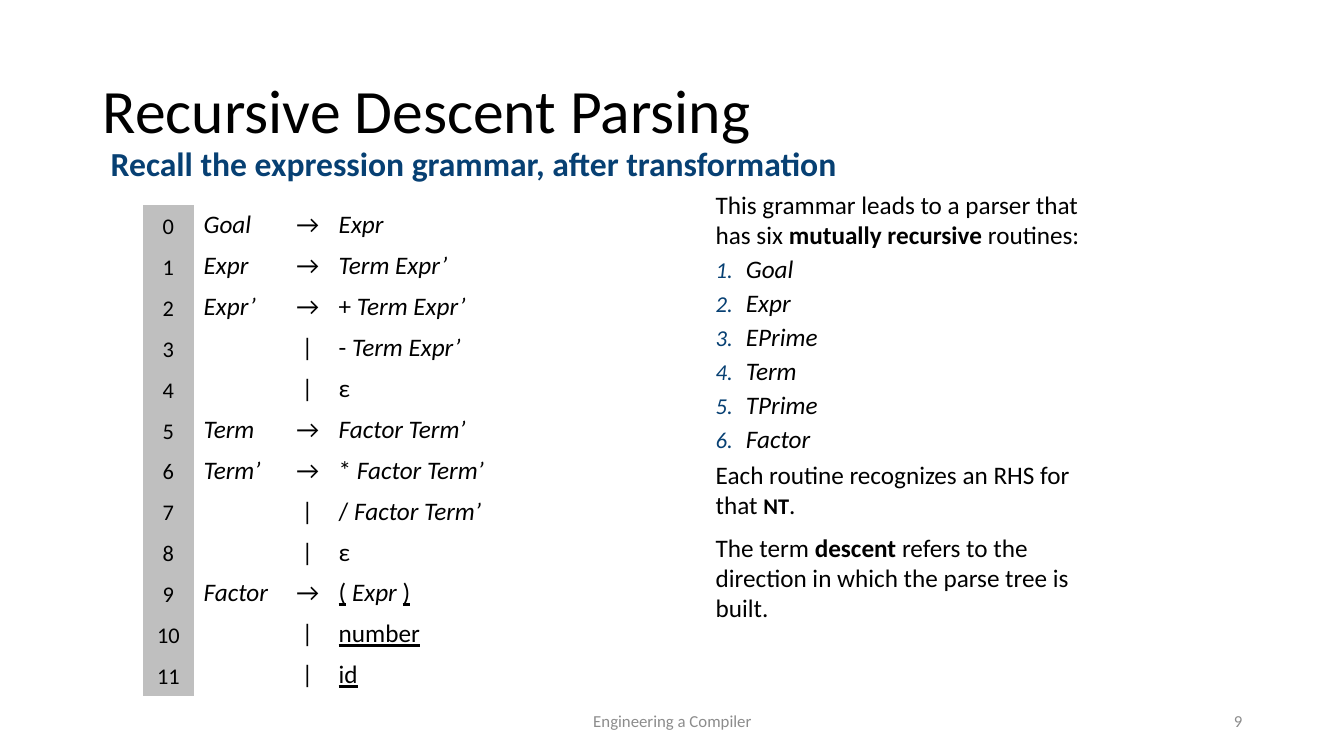
"""Builds the slide on recursive descent parsing."""
from dataclasses import dataclass

from lxml import etree
from pptx import Presentation, util as u
from pptx.dml.color import RGBColor
from pptx.enum import text
from pptx.oxml.ns import qn


@dataclass(frozen=True)
class Theme:
    font: str = "Calibri"
    ink: str = "000000"
    accent: str = "074073"
    number_fill: str = "BFBFBF"
    muted: str = "8C8C8C"
    title: int = 44
    subtitle: int = 24
    body: int = 18
    number: int = 16
    footer: int = 12
    line: int = 22


LEFT, CENTER, RIGHT = text.PP_ALIGN.LEFT, text.PP_ALIGN.CENTER, text.PP_ALIGN.RIGHT
BOTTOM, MIDDLE, TOP = text.MSO_ANCHOR.BOTTOM, text.MSO_ANCHOR.MIDDLE, text.MSO_ANCHOR.TOP
NO_TABLE_STYLE = "{2D5ABB26-0587-4C30-8999-92F81FD0307C}"
ITALIC, BOLD, UNDERLINE = {"italic": True}, {"bold": True}, {"underline": True}


def apply(target, values):
    for name, value in values.items():
        setattr(target, name, value)


class SlideBuilder:
    def __init__(self, slide, theme):
        self.slide = slide
        self.theme = theme

    def place(self, shape, box):
        names = ("left", "top", "width", "height")
        apply(shape, dict(zip(names, map(u.Inches, box))))

    def fill_paragraph(self, paragraph, runs, size, color=None, **layout):
        apply(paragraph, {"alignment": LEFT, **layout})
        for content, style in runs:
            run = paragraph.add_run()
            run.text = content
            apply(run.font, {"name": self.theme.font, "size": u.Pt(size), **style})
            run.font.color.rgb = RGBColor.from_string(color or self.theme.ink)

    def title(self, content, box):
        shape = self.slide.shapes.title
        self.place(shape, box)
        apply(shape.text_frame, {"vertical_anchor": MIDDLE, "word_wrap": True})
        self.fill_paragraph(shape.text_frame.paragraphs[0], [(content, {})],
                            self.theme.title, line_spacing=0.9)

    def frame(self, box, anchor=TOP):
        frame = self.slide.shapes.add_textbox(*map(u.Inches, box)).text_frame
        apply(frame, {"word_wrap": True, "vertical_anchor": anchor})
        return frame

    def label(self, content, box, size, color, anchor=MIDDLE, style=None, **layout):
        paragraph = self.frame(box, anchor).paragraphs[0]
        self.fill_paragraph(paragraph, [(content, style or {})], size, color, **layout)

    def number_bullet(self, paragraph):
        indent = u.Inches(0.3)
        properties = paragraph._p.get_or_add_pPr()
        properties.set("marL", str(indent))
        properties.set("indent", str(-indent))
        color = etree.SubElement(properties, qn("a:buClr"))
        etree.SubElement(color, qn("a:srgbClr"), val=self.theme.accent)
        etree.SubElement(properties, qn("a:buSzPct"), val="90000")
        etree.SubElement(properties, qn("a:buFont"), typeface=self.theme.font)
        etree.SubElement(properties, qn("a:buAutoNum"), type="arabicPeriod")

    def prose(self, entries, box):
        frame = self.frame(box)
        for index, (runs, gap, numbered) in enumerate(entries):
            paragraph = frame.add_paragraph() if index else frame.paragraphs[0]
            self.fill_paragraph(paragraph, runs, self.theme.body, space_before=u.Pt(gap))
            if numbered:
                self.number_bullet(paragraph)

    def cell(self, cell, runs, size, alignment, anchor, fill=None):
        cell.vertical_anchor = anchor
        if fill:
            cell.fill.solid()
            cell.fill.fore_color.rgb = RGBColor.from_string(fill)
        else:
            cell.fill.background()
        paragraph = cell.text_frame.paragraphs[0]
        paragraph.font.size = u.Pt(size)
        self.fill_paragraph(paragraph, runs, size, alignment=alignment,
                            line_spacing=u.Pt(self.theme.line))

    def grammar(self, rules, box, widths):
        shape = self.slide.shapes.add_table(len(rules), len(widths), *map(u.Inches, box))
        table = shape.table
        apply(table, {"first_row": False, "horz_banding": False})
        table._tbl.tblPr.find(qn("a:tableStyleId")).text = NO_TABLE_STYLE
        for column, width in zip(table.columns, widths):
            column.width = u.Inches(width)
        theme = self.theme
        for index, (name, production) in enumerate(rules):
            number, left, sign, right = table.rows[index].cells
            self.cell(number, [(str(index), {})], theme.number, CENTER, BOTTOM,
                      theme.number_fill)
            self.cell(left, [(name, ITALIC)] if name else [], theme.body, LEFT, MIDDLE)
            self.cell(sign, [("→" if name else "|", {})], theme.body, CENTER, MIDDLE)
            self.cell(right, production, theme.body, LEFT, MIDDLE)


def operation(symbol, operands):
    return [(symbol + " ", {}), (operands, ITALIC)]


EMPTY = [("ε", {})]
RULES = [
    ("Goal", [("Expr", ITALIC)]),
    ("Expr", [("Term Expr’", ITALIC)]),
    ("Expr’", operation("+", "Term Expr’")),
    ("", operation("-", "Term Expr’")),
    ("", EMPTY),
    ("Term", [("Factor Term’", ITALIC)]),
    ("Term’", operation("*", "Factor Term’")),
    ("", operation("/", "Factor Term’")),
    ("", EMPTY),
    ("Factor", [("(", UNDERLINE), (" ", {}), ("Expr ", ITALIC), (")", UNDERLINE)]),
    ("", [("number", UNDERLINE)]),
    ("", [("id", UNDERLINE)]),
]
ROUTINES = ["Goal", "Expr", "EPrime", "Term", "TPrime", "Factor"]
EXPLANATION = [
    ([("This grammar leads to a parser that has six ", {}),
      ("mutually recursive ", BOLD), ("routines:", {})], 0, False),
    *[([(routine, ITALIC)], 2.7, True) for routine in ROUTINES],
    ([("Each routine recognizes an RHS for that ", {}),
      ("NT", {**BOLD, "size": u.Pt(Theme.number)}), (".", {})], 3.6, False),
    ([("The term ", {}), ("descent ", BOLD),
      ("refers to the direction in which the parse tree is built.", {})], 9, False),
]


def main():
    presentation = Presentation()
    apply(presentation, {"slide_width": u.Inches(13.33), "slide_height": u.Inches(7.5)})
    theme = Theme()
    slide = presentation.slides.add_slide(presentation.slide_layouts[5])
    builder = SlideBuilder(slide, theme)
    builder.title("Recursive Descent Parsing", (0.92, 0.4, 11.5, 1.45))
    builder.label("Recall the expression grammar, after transformation",
                  (1, 1.41, 9, 0.45), theme.subtitle, theme.accent, TOP, BOLD,
                  line_spacing=0.9)
    builder.prose(EXPLANATION, (7, 1.83, 4.17, 4.52))
    builder.grammar(RULES, (1.42, 2.03, 3.59, 4.87), (0.5, 0.92, 0.42, 1.75))
    builder.label("9", (9.42, 6.95, 3, 0.4), theme.footer, theme.muted, alignment=RIGHT)
    builder.label("Engineering a Compiler", (4.42, 6.95, 4.5, 0.4), theme.footer,
                  theme.muted, alignment=CENTER)
    presentation.save("out.pptx")


if __name__ == "__main__":
    main()
